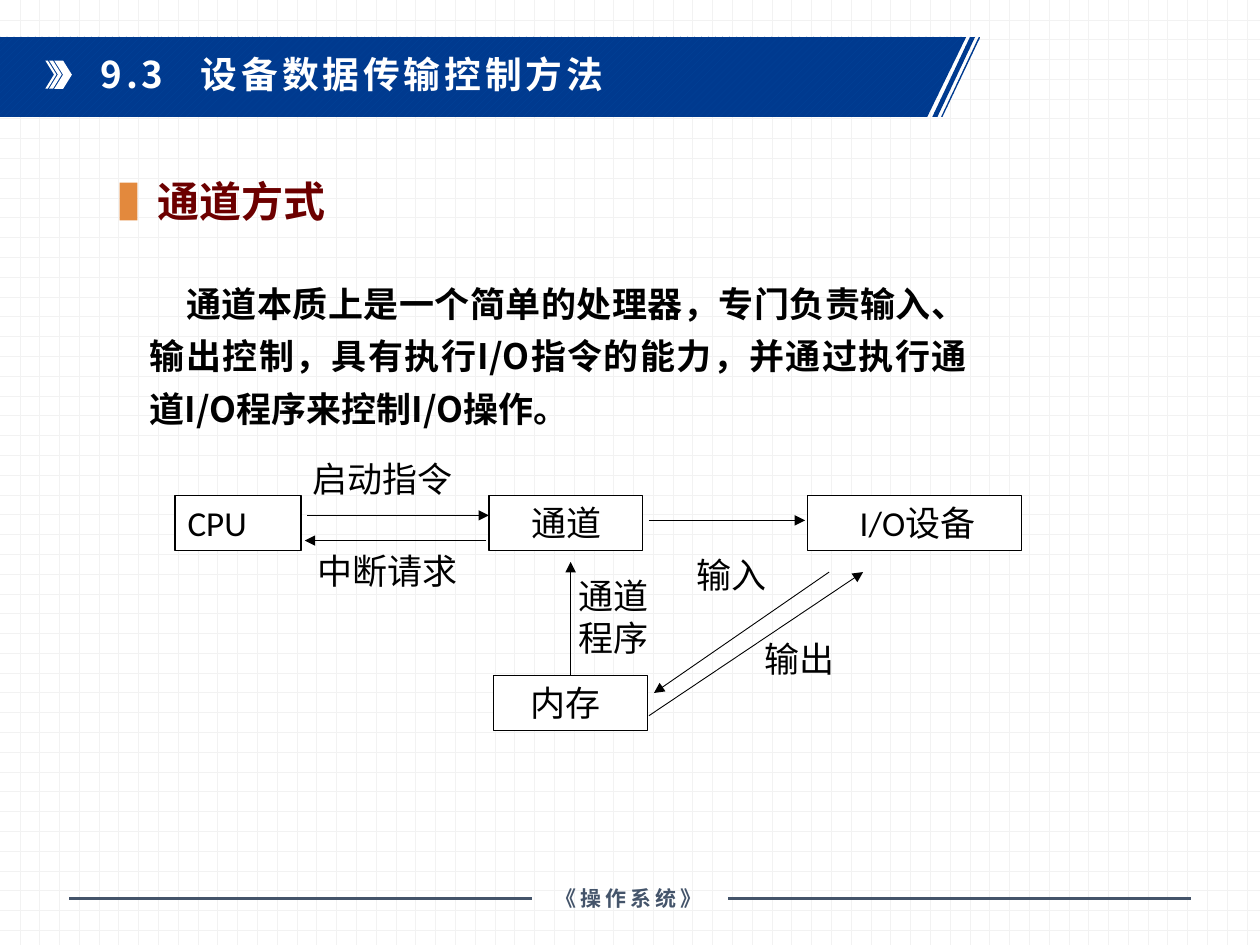
import pptx
import pptx.util
import pptx.dml.color
import pptx.enum.dml
import pptx.enum.shapes
import pptx.enum.text
import pptx.oxml.ns
import lxml.etree

Pt = pptx.util.Pt
RGB = pptx.dml.color.RGBColor.from_string
Kind = pptx.enum.shapes.MSO_SHAPE
Align = pptx.enum.text.PP_ALIGN
Anchor = pptx.enum.text.MSO_ANCHOR
Fit = pptx.enum.text.MSO_AUTO_SIZE
Hatch = pptx.enum.dml.MSO_PATTERN
qn = pptx.oxml.ns.qn

theme = {
    "cjk": "Noto Sans CJK SC", "latin": "Calibri", "foot": "Arial",
    "white": "FFFFFF", "black": "000000", "grid": "F2F2F2",
    "blue": "003A8F", "stripe": "00449A", "slate": "44546A",
    "red": "6C0000", "orange": "E3893D",
    "head": 21, "topic": 24, "body": 20, "small": 12,
}

deck = pptx.Presentation()
deck.slide_width, deck.slide_height = Pt(720), Pt(540)
slide = deck.slides.add_slide(deck.slide_layouts[6])
shapes = slide.shapes


def write(shape, lines, size="body", color="black", font="latin", bold=False,
          track=0, grow=True, anchor=Anchor.TOP, tab=0, **form):
    """Fill a shape with styled lines; form holds paragraph format values."""
    frame = shape.text_frame
    frame.word_wrap = True
    frame.auto_size = Fit.SHAPE_TO_FIT_TEXT if grow else Fit.NONE
    frame.vertical_anchor = anchor
    frame.text = lines
    for para in frame.paragraphs:
        props = para._p.get_or_add_pPr()
        indent = form.get("indent", 0)
        if indent:
            props.set("indent", str(Pt(indent)))
        if tab:
            stops = lxml.etree.SubElement(props, qn("a:tabLst"))
            lxml.etree.SubElement(stops, qn("a:tab"), pos=str(Pt(tab)), algn="l")
        para.alignment = form.get("align", Align.JUSTIFY)
        para.line_spacing = form.get("space", 1.0)
        for run in para.runs:
            style = {"name": theme[font], "size": Pt(theme[size]), "bold": bold}
            for key, value in style.items():
                setattr(run.font, key, value)
            run.font.color.rgb = RGB(theme[color])
            mark = run._r.get_or_add_rPr()
            lxml.etree.SubElement(mark, qn("a:ea"), typeface=theme["cjk"])
            if track:
                mark.set("spc", str(round(track * 100)))


def link(start, end, color, width, arrow=False):
    """Draw a straight line, with an arrowhead at its end if asked."""
    line = shapes.add_connector(pptx.enum.shapes.MSO_CONNECTOR.STRAIGHT,
                                *map(Pt, start + end))
    line.line.color.rgb = RGB(theme[color])
    line.line.width = Pt(width)
    if arrow:
        lxml.etree.SubElement(line.line._get_or_add_ln(), qn("a:tailEnd"),
                              type="triangle")
    lxml.etree.SubElement(line._element.spPr, qn("a:effectLst"))
    return line


# Dotted background
back = slide.background.fill
back.patterned()
back.pattern = Hatch.DOTTED_GRID
back.fore_color.rgb = RGB(theme["grid"])
back.back_color.rgb = RGB(theme["white"])

# Title band with two slanted stripes, then the two thin arrow marks
top, low = 21, 66.8
band = [
    [(559.4, top), (560.3, top), (538.6, low), (537.8, low)],
    [(554.4, top), (557.3, top), (535.7, low), (532.8, low)],
    [(0, top), (552.2, top), (529.9, low), (0, low)],
]
outs = [(band, "blue")]
for left, wide in ((28.1, 2.2), (25.9, 1.4)):
    tip = left + 5
    outs.append(([[(left, 34.6), (left + wide, 34.6), (tip + wide, 42.6),
                   (left + wide, 50.7), (left, 50.7), (tip, 42.6)]], "white"))
for paths, color in outs:
    pen = shapes.build_freeform(*map(Pt, paths[0][0]), scale=1.0)
    for i, path in enumerate(paths):
        if i:
            pen.move_to(*map(Pt, path[0]))
        pen.add_line_segments([(Pt(x), Pt(y)) for x, y in path[1:]], close=True)
    form = pen.convert_to_shape()
    form.shadow.inherit = False
    form.line.fill.background()
    if color == "blue":
        form.fill.patterned()
        form.fill.pattern = Hatch.WIDE_UPWARD_DIAGONAL
        form.fill.fore_color.rgb = RGB(theme["stripe"])
        form.fill.back_color.rgb = RGB(theme["blue"])
    else:
        form.fill.solid()
        form.fill.fore_color.rgb = RGB(theme[color])

# Solid arrow mark and topic marker
for kind, box, color in ((Kind.CHEVRON, (31, 34.6, 10.1, 16.2), "white"),
                         (Kind.RECTANGLE, (68.4, 104.4, 10.1, 21.6), "orange")):
    mark = shapes.add_shape(kind, *map(Pt, box))
    mark.shadow.inherit = False
    mark.fill.solid()
    mark.fill.fore_color.rgb = RGB(theme[color])
    mark.line.fill.background()

# Footer rules
for left in (39.6, 416.2):
    link((left, 513.4), (left + 264.2, 513.4), "slate", 2)

# Headings, body and footer text
strong = {"font": "cjk", "bold": True}
texts = [
    ((50.4, 28.8, 324.7, 40.3), "9.3\t设备数据传输控制方法",
     dict(strong, size="head", color="white", track=2.2, grow=False,
          align=Align.LEFT, space=0.9, tab=57.3)),
    ((82.8, 100.1, 166.3, 29.5), "通道方式",
     dict(strong, size="topic", color="red", grow=False,
          align=Align.LEFT, space=0.9)),
    ((78.5, 151.9, 481, 97.9),
     "通道本质上是一个简单的处理器，专门负责输入、输出控制，具有执行I/O指令的能力，"
     "并通过执行通道I/O程序来控制I/O操作。",
     dict(strong, indent=20.9, space=1.25)),
    ((303.1, 502.6, 112.3, 21.6), "《操作系统》",
     dict(size="small", color="slate", font="foot", bold=True, track=2.2,
          align=Align.CENTER, anchor=Anchor.MIDDLE)),
]

# Diagram labels
texts += [(box, words, {}) for box, words in (
    ((171.4, 257.8, 111.6, 55.4), "启动指令"),
    ((174.2, 310.3, 111.6, 55.4), "中断请求"),
    ((323.3, 324.7, 70.6, 104.4), "通道\n程序"),
    ((391, 312.5, 78.5, 31.7), "输入"),
    ((429.8, 360.7, 78.5, 31.7), "输出"),
)]

# Diagram boxes
nodes = {}
for name, left, y, wide, indent in (
        ("CPU", 100.1, 283, 72, 0), ("通道", 279.4, 283, 87.8, 17.5),
        ("I/O设备", 461.5, 283, 122.4, 22.7), ("内存", 282.2, 385.9, 87.8, 13.6)):
    node = shapes.add_shape(Kind.RECTANGLE, *map(Pt, (left, y, wide, 31.7)))
    node.shadow.inherit = False
    node.fill.solid()
    node.fill.fore_color.rgb = RGB(theme["white"])
    node.line.color.rgb = RGB(theme["black"])
    node.line.width = Pt(0.75)
    write(node, name, indent=indent)
    nodes[name] = node

# Diagram arrows
for start, end in (((175.7, 294.5), (279.4, 294.5)),
                   ((277.9, 308.9), (174.2, 308.9)),
                   ((370.8, 297.4), (460.1, 297.4)),
                   ((473.8, 326.9), (373.7, 396)),
                   ((370.8, 409), (493.2, 326.9))):
    link(start, end, "black", 0.5, arrow=True)
load = link((326.1, 385.9), (326.1, 321.1), "black", 0.5, arrow=True)
load.begin_connect(nodes["内存"], 0)

for box, words, form in texts:
    write(shapes.add_textbox(*map(Pt, box)), words, **form)

deck.save("out.pptx")
